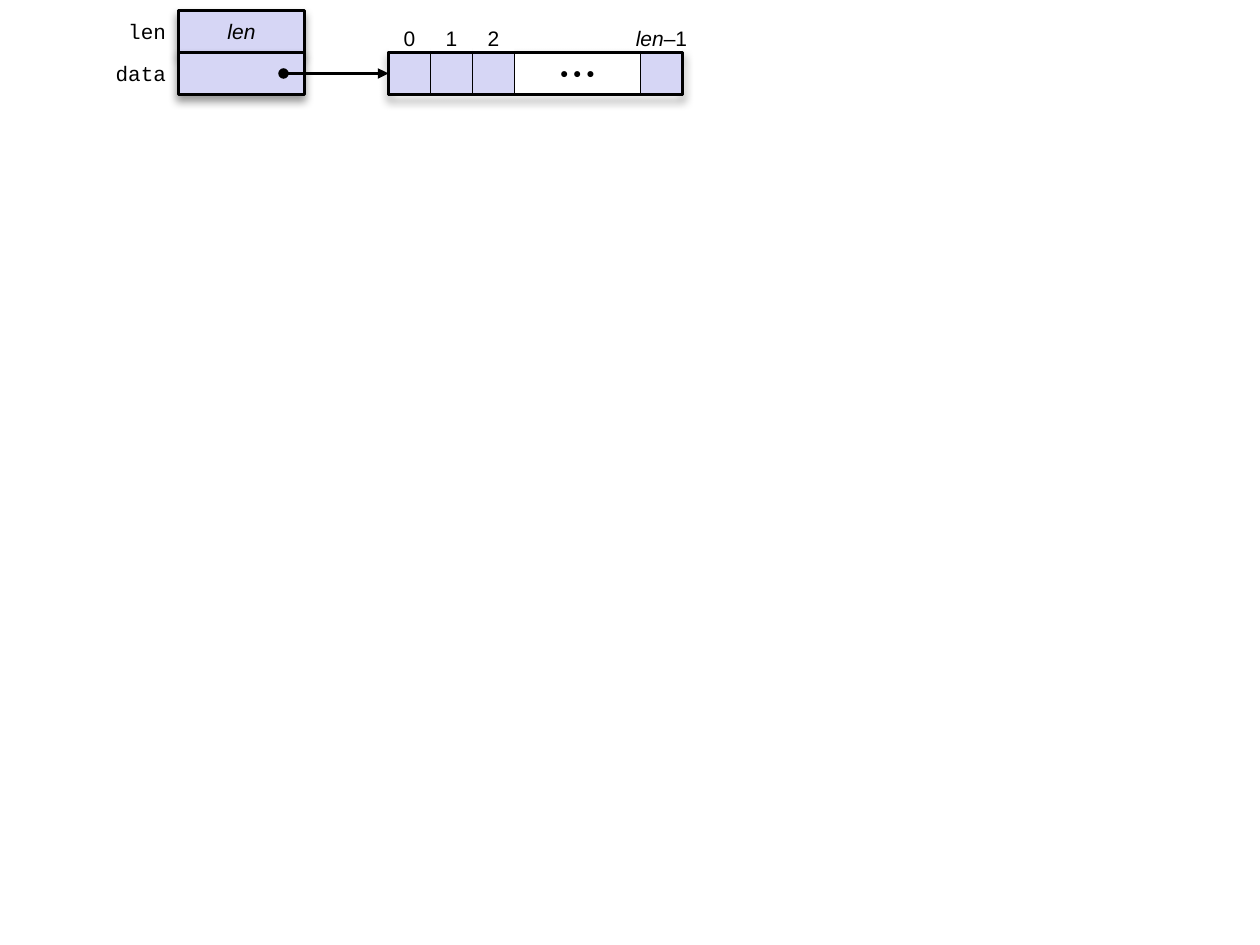
from lxml import etree
from pptx import Presentation
from pptx.dml.color import RGBColor
from pptx.enum import shapes as sh, text as tx
from pptx.oxml import parse_xml
from pptx.oxml.ns import qn
from pptx.util import Pt

INK, LILAC, WHITE = "000000", "D6D6F5", "FFFFFF"
UNIT = 24  # side of one cell
NS = "http://schemas.openxmlformats.org/drawingml/2006/main"
SHADE = f"""<a:effectLst xmlns:a="{NS}">
<a:outerShdw blurRad="{Pt(5)}" dist="{Pt(3)}" dir="5400000" rotWithShape="0">
<a:srgbClr val="{INK}"><a:alpha val="40000"/></a:srgbClr>
</a:outerShdw></a:effectLst>"""


def color(code):
    return RGBColor.from_string(code)


def write(shape, runs, align=tx.PP_ALIGN.CENTER, font="Arial"):
    """Put runs, given as (words, style) pairs, on one line."""
    frame = shape.text_frame
    frame.word_wrap = False
    frame.vertical_anchor = tx.MSO_ANCHOR.MIDDLE
    par = frame.paragraphs[0]
    par.alignment = align
    for words, style in runs:
        run = par.add_run()
        run.text = words
        run.font.name, run.font.size = font, Pt(12)
        run.font.bold, run.font.italic = style == "bold", style == "italic"
        run.font.color.rgb = color(INK)


def block(slide, x, y, w, fill=None, line=0, shade=False, runs=()):
    """Draw a rectangle one unit high."""
    box = slide.shapes.add_shape(
        sh.MSO_SHAPE.RECTANGLE, Pt(x), Pt(y), Pt(w), Pt(UNIT))
    if fill:
        box.fill.solid()
        box.fill.fore_color.rgb = color(fill)
    else:
        box.fill.background()
    if line:
        box.line.width = Pt(line)
        box.line.color.rgb = color(INK)
    else:
        box.line.fill.background()
    box.shadow.inherit = False
    if shade:
        props = box._element.spPr
        props.replace(props.find(qn("a:effectLst")), parse_xml(SHADE))
    if runs:
        write(box, runs)


def arrow(slide, x, y, w):
    """Draw a pointer from a dot to an arrowhead."""
    link = slide.shapes.add_connector(
        sh.MSO_CONNECTOR.STRAIGHT, Pt(x), Pt(y), Pt(x + w), Pt(y))
    link.line.width = Pt(2)
    link.line.color.rgb = color(INK)
    ends = link.line._get_or_add_ln()
    etree.SubElement(ends, qn("a:headEnd"), type="oval")
    etree.SubElement(ends, qn("a:tailEnd"), type="triangle")
    etree.SubElement(link._element.spPr, qn("a:effectLst"))


def record(slide, x, y, w):
    """Draw the two fields with their names on the left."""
    fields = [("len", [("len", "italic")]), ("data", [])]
    for row, (name, runs) in enumerate(fields):
        top = y + row * UNIT
        block(slide, x, top, w, LILAC, 2, True, runs)
        label = slide.shapes.add_textbox(
            Pt(x - w), Pt(top), Pt(w), Pt(UNIT))
        write(label, [(name, "")], tx.PP_ALIGN.RIGHT, "Courier New")


def array(slide, x, y, w):
    """Draw the cells, their indices above and a frame around them."""
    block(slide, x, y, w, line=2, shade=True)
    cells = [(x + i * UNIT, [(str(i), "")]) for i in range(3)]
    cells.append((x + w - UNIT, [("len", "italic"), ("–1", "")]))
    for left, runs in cells:
        block(slide, left, y - 20, UNIT, WHITE, runs=runs)
    for left, _ in cells:
        block(slide, left, y, UNIT, LILAC, 1)
    # Elided middle
    block(slide, x + 3 * UNIT, y, w - 4 * UNIT, WHITE, 1,
          runs=[("• • •", "bold")])
    block(slide, x, y, w, line=2)


def main():
    deck = Presentation()
    deck.slide_width, deck.slide_height = Pt(720), Pt(540)
    slide = deck.slides.add_slide(deck.slide_layouts[6])
    record(slide, 102, 6, 3 * UNIT)
    array(slide, 222, 30, 7 * UNIT)
    arrow(slide, 162, 42, 60)
    deck.save("out.pptx")


if __name__ == "__main__":
    main()
